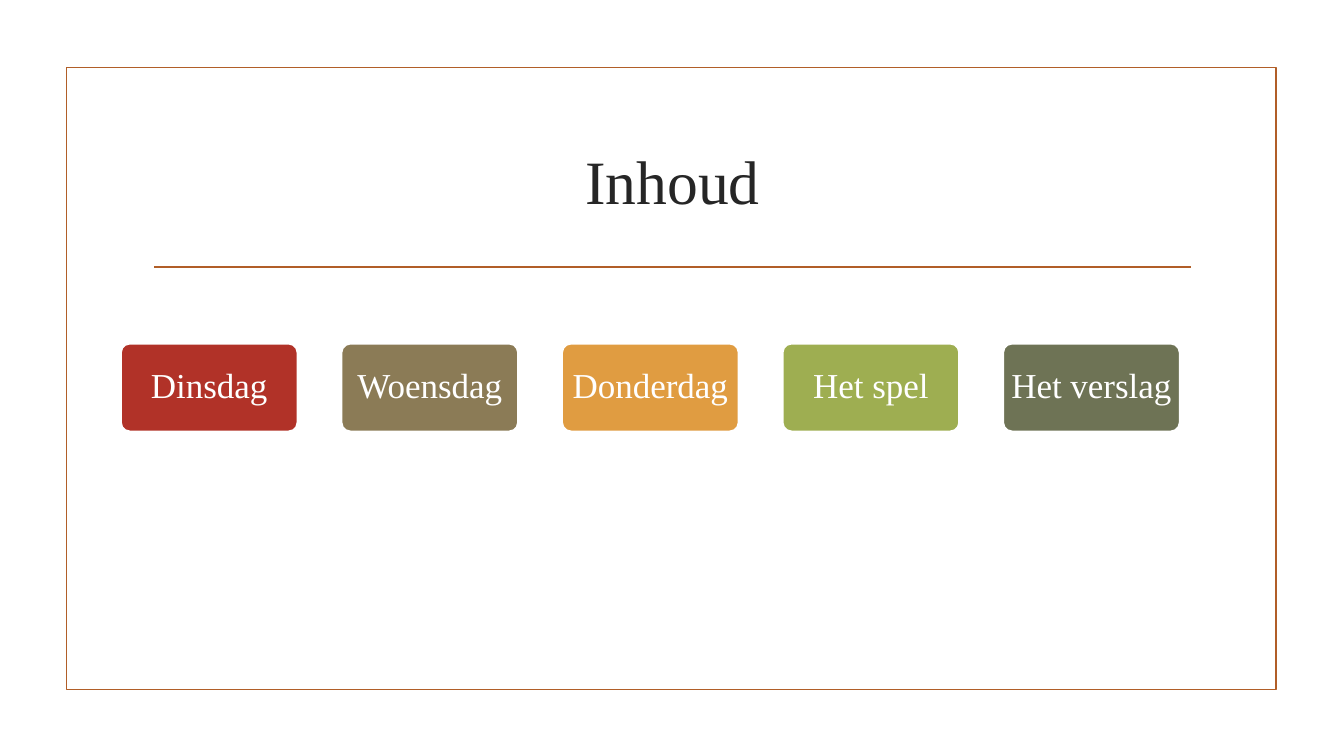
from pptx import Presentation
from pptx.dml.color import RGBColor
from pptx.enum.shapes import MSO_CONNECTOR, MSO_SHAPE
from pptx.enum.text import MSO_ANCHOR, PP_ALIGN
from pptx.oxml.xmlchemy import OxmlElement
from pptx.util import Inches, Pt

FONT = "Times New Roman"
RUST = RGBColor(0xB1, 0x5E, 0x28)
INK = RGBColor(0x26, 0x26, 0x26)
WHITE = RGBColor(0xFF, 0xFF, 0xFF)
RED = RGBColor(0xB1, 0x32, 0x28)
KHAKI = RGBColor(0x8B, 0x7B, 0x56)
ORANGE = RGBColor(0xE0, 0x9C, 0x41)
GREEN = RGBColor(0x9E, 0xAE, 0x51)
OLIVE = RGBColor(0x6E, 0x73, 0x55)
TOPICS = [
    ("Dinsdag", RED),
    ("Woensdag", KHAKI),
    ("Donderdag", ORANGE),
    ("Het spel", GREEN),
    ("Het verslag", OLIVE),
]


def set_line(line, color):
    """Give an outline or rule the common width and a colour."""
    line.color.rgb = color
    line.width = Pt(1.25)


def write_centred(frame, words, size, color):
    """Write one centred line of text into a text frame."""
    frame.word_wrap = True
    frame.vertical_anchor = MSO_ANCHOR.MIDDLE
    frame.text = words
    paragraph = frame.paragraphs[0]
    paragraph.alignment = PP_ALIGN.CENTER
    font = paragraph.runs[0].font
    font.name, font.size, font.color.rgb = FONT, Pt(size), color
    return paragraph


def add_border(slide, left, top, width, height):
    """Draw the thin frame around the slide content."""
    border = slide.shapes.add_shape(
        MSO_SHAPE.RECTANGLE, Inches(left), Inches(top), Inches(width), Inches(height))
    border.shadow.inherit = False
    border.fill.background()
    set_line(border.line, RUST)


def add_heading(slide, left, top, width, height):
    """Place the title in its box and the rule below it."""
    title = slide.shapes.add_textbox(
        Inches(left), Inches(top), Inches(width), Inches(height))
    write_centred(title.text_frame, "Inhoud", 44, INK)
    rule_y = Inches(top + height + 0.15)
    rule = slide.shapes.add_connector(
        MSO_CONNECTOR.STRAIGHT,
        Inches(left + 0.11), rule_y, Inches(left + width - 0.11), rule_y)
    rule._element.spPr.append(OxmlElement("a:effectLst"))
    set_line(rule.line, RUST)


def add_topics(slide, left, top, width, height):
    """Spread the topic tiles evenly over the given box."""
    tile_width = 1.75
    step = (width - tile_width) / (len(TOPICS) - 1)
    for index, (topic, color) in enumerate(TOPICS):
        tile = slide.shapes.add_shape(
            MSO_SHAPE.ROUNDED_RECTANGLE, Inches(left + index * step), Inches(top),
            Inches(tile_width), Inches(height))
        tile.adjustments[0] = 0.1
        tile.shadow.inherit = False
        tile.fill.solid()
        tile.fill.fore_color.rgb = color
        set_line(tile.line, WHITE)
        frame = tile.text_frame
        frame.margin_left = frame.margin_right = Inches(0.05)
        frame.margin_top = frame.margin_bottom = Inches(0.03)
        write_centred(frame, topic, 25, WHITE).line_spacing = 0.9


def main():
    """Build the contents slide and save it."""
    deck = Presentation()
    deck.slide_width, deck.slide_height = Inches(13.33), Inches(7.5)
    slide = deck.slides.add_slide(deck.slide_layouts[6])
    add_border(slide, 0.66, 0.67, 12, 6.17)
    add_heading(slide, 1.42, 1.07, 10.5, 1.43)
    add_topics(slide, 1.2, 3.41, 10.5, 0.87)
    deck.save("out.pptx")


if __name__ == "__main__":
    main()
